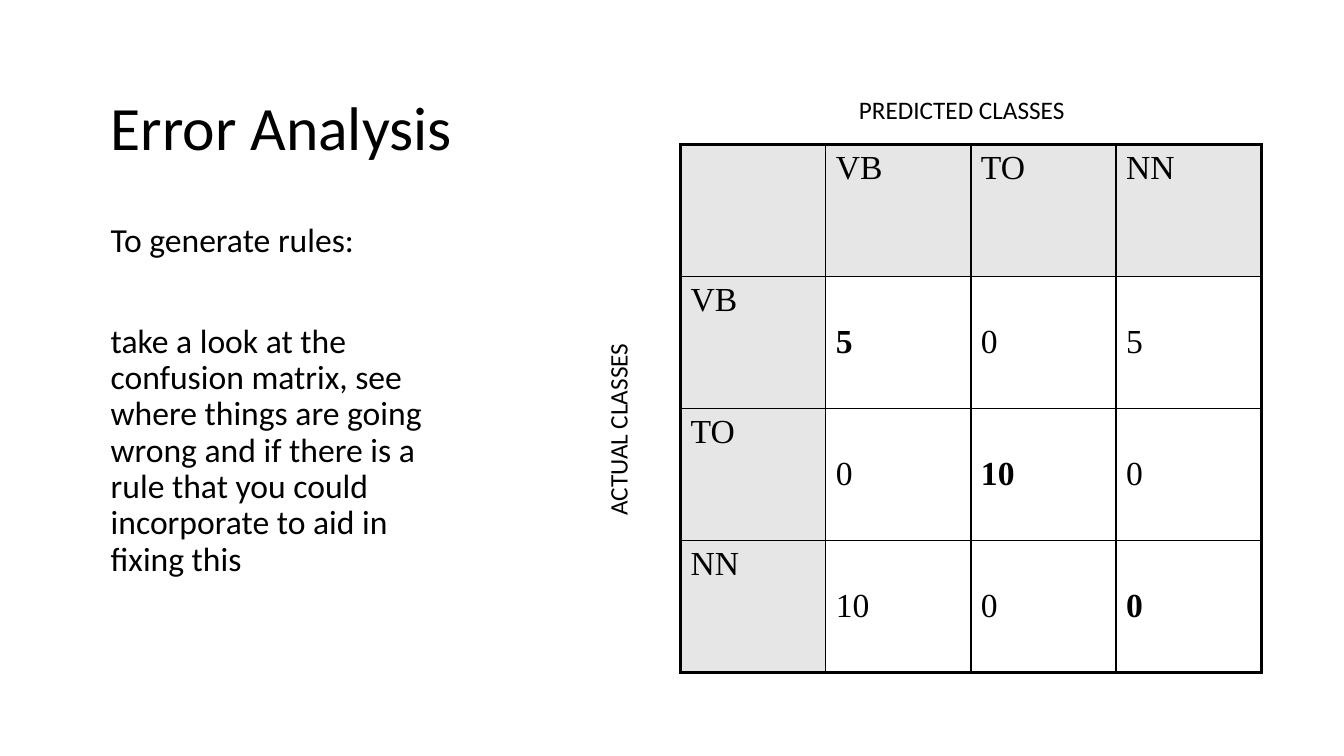
from lxml.etree import SubElement
from pptx import Presentation
from pptx.dml.color import RGBColor as RGB
from pptx.enum.text import MSO_ANCHOR as Anchor
from pptx.oxml.ns import qn
from pptx.util import Inches, Pt

# Content
COLORS = {"ink": "000000", "header": "E7E6E6", "cell": "FFFFFF"}
HEADING = "Error Analysis"
ADVICE = [
    "To generate rules:",
    "take a look at the confusion matrix, see where things are going wrong "
    "and if there is a rule that you could incorporate to aid in fixing this",
]
CLASSES = ["VB", "TO", "NN"]
COUNTS = [[5, 0, 5], [0, 10, 0], [10, 0, 0]]

# Each text: lines, place, font size, line spacing, space before each line, frame, rotation
TEXTS = [
    ([HEADING], (1, 0.67, 11.33, 1.25), 44, 0.9, [0],
     {"word_wrap": True, "vertical_anchor": Anchor.MIDDLE}, 0),
    (ADVICE, (1, 2.17, 3.53, 3.7), 24, 0.9, [10, 46], {"word_wrap": True}, 0),
    (["PREDICTED CLASSES"], (8.42, 0.89, 2.26, 0.4), 18, 1, [0], {"word_wrap": False}, 0),
    (["ACTUAL CLASSES"], (5.16, 4.05, 1.93, 0.4), 18, 1, [0], {"word_wrap": False}, 270),
]
MATRIX_LEFT, MATRIX_TOP = 6.75, 1.43
COLUMN_WIDTH, ROW_HEIGHT = 1.44, 1.31
THIN, THICK = 1, 2.25


def style(font, **values):
    for name, value in values.items():
        setattr(font, name, value)
    font.color.rgb = RGB.from_string(COLORS["ink"])


def set_borders(cell, widths):
    properties = cell._tc.get_or_add_tcPr()
    for position, (side, width) in enumerate(widths.items()):
        line = properties.makeelement(qn(f"a:ln{side}"), {"w": str(Pt(width))})
        fill = SubElement(line, qn("a:solidFill"))
        SubElement(fill, qn("a:srgbClr"), val=COLORS["ink"])
        properties.insert(position, line)


deck = Presentation()
deck.slide_width, deck.slide_height = Inches(13.33), Inches(7.5)
slide = deck.slides.add_slide(deck.slide_layouts[6])

# Heading, advice and axis labels
for lines, place, size, spacing, gaps, frame_format, rotation in TEXTS:
    box = slide.shapes.add_textbox(*map(Inches, place))
    box.rotation = rotation
    frame = box.text_frame
    for name, value in frame_format.items():
        setattr(frame, name, value)
    frame.text = "\n".join(lines)
    for paragraph, gap in zip(frame.paragraphs, gaps):
        paragraph.line_spacing = spacing
        paragraph.space_before = Pt(gap)
        style(paragraph.runs[0].font, name="Calibri", size=Pt(size))

# Confusion matrix
rows = [["", *CLASSES]] + [[name, *counts] for name, counts in zip(CLASSES, COUNTS)]
last = len(CLASSES)
side_count = last + 1
matrix = slide.shapes.add_table(
    side_count, side_count, Inches(MATRIX_LEFT), Inches(MATRIX_TOP),
    Inches(COLUMN_WIDTH * side_count), Inches(ROW_HEIGHT * side_count)).table
matrix.horz_banding = False

for r, row in enumerate(rows):
    for c, value in enumerate(row):
        cell = matrix.cell(r, c)
        is_header = r == 0 or c == 0
        cell.text = str(value)
        cell.vertical_anchor = Anchor.TOP if is_header else Anchor.MIDDLE
        style(cell.text_frame.paragraphs[0].font, name="Times New Roman",
              size=Pt(24), bold=r == c and not is_header)
        for run in cell.text_frame.paragraphs[0].runs:
            style(run.font, name="Times New Roman", size=Pt(24),
                  bold=r == c and not is_header)
        cell.fill.solid()
        cell.fill.fore_color.rgb = RGB.from_string(COLORS["header" if is_header else "cell"])
        set_borders(cell, {
            "L": THICK if c == 0 else THIN,
            "R": THICK if c == last else THIN,
            "T": THICK if r == 0 else THIN,
            "B": THICK if r == last else THIN,
        })

deck.save("out.pptx")
